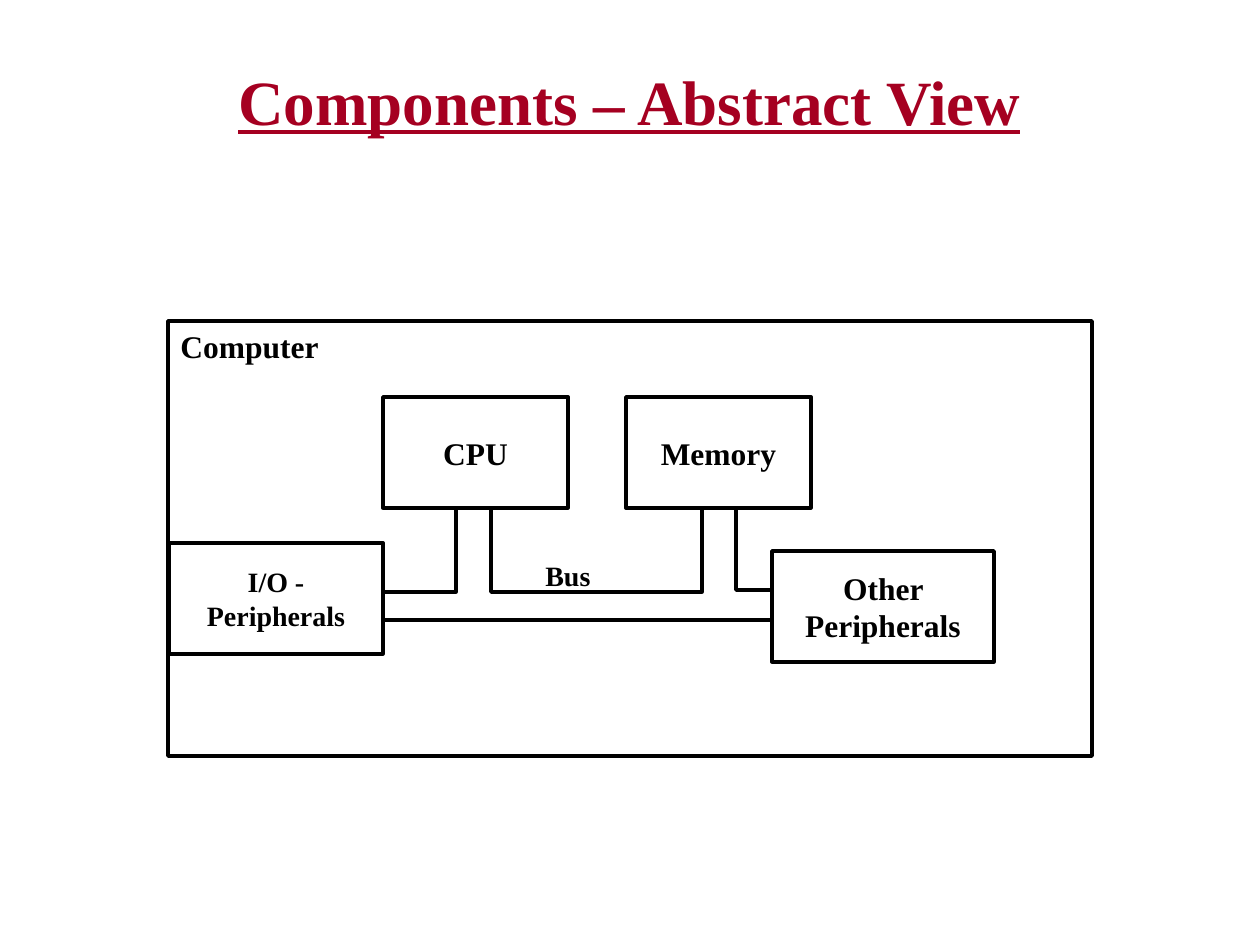
"""Build a slide with an abstract view of computer components."""
from pptx import Presentation
from pptx import util as u
from pptx.dml.color import RGBColor
from pptx.enum import text

RED = RGBColor(0xA5, 0x00, 0x21)
BLACK = RGBColor(0, 0, 0)
WHITE = RGBColor(255, 255, 255)
FONT = "Times New Roman"
CENTER, LEFT = text.PP_ALIGN.CENTER, text.PP_ALIGN.LEFT
MIDDLE, TOP = text.MSO_ANCHOR.MIDDLE, text.MSO_ANCHOR.TOP
BUS = [(335, 620), (915, 620), (915, 590), (736, 590), (736, 500), (702, 500),
       (702, 592), (491, 592), (491, 496), (456, 496), (456, 592), (335, 592)]
UNITS = [("CPU", 383, 397, 185, 18), ("Memory", 626, 397, 185, 18),
         ("I/O - Peripherals", 169, 543, 214, 16),
         ("Other Peripherals", 772, 551, 222, 18)]
UNIT_H = 111


def px(n):
    return u.Inches(n / 126)


def write(shape, words, size, color=BLACK, align=CENTER, anchor=MIDDLE, wrap=True):
    frame = shape.text_frame
    frame.text = words
    frame.word_wrap = wrap
    frame.vertical_anchor = anchor
    para = frame.paragraphs[0]
    para.alignment = align
    font = para.runs[0].font
    font.name, font.size, font.bold = FONT, u.Pt(size), True
    font.color.rgb = color
    return font


def paint(shape):
    shape.shadow.inherit = False
    shape.fill.solid()
    shape.fill.fore_color.rgb = WHITE
    shape.line.color.rgb = BLACK
    shape.line.width = u.Pt(2)


def add_box(group, words, x, y, w, h, size, **style):
    box = group.shapes.add_shape(1, px(x), px(y), px(w), px(h))
    paint(box)
    write(box, words, size, **style)


def add_bus(group):
    points = [(px(x), px(y)) for x, y in BUS]
    form = group.shapes.build_freeform(*points[0])
    form.add_line_segments(points[1:], close=True)
    paint(form.convert_to_shape())


def add_label(group, words, x, y, w, h, size):
    label = group.shapes.add_textbox(px(x), px(y), px(w), px(h))
    write(label, words, size, align=LEFT, anchor=TOP, wrap=False)
    label.text_frame.auto_size = text.MSO_AUTO_SIZE.SHAPE_TO_FIT_TEXT


def add_title(slide, words):
    title = slide.shapes.title
    title.left, title.top, title.width, title.height = map(px, (94, 21, 1071, 158))
    write(title, words, 36, RED).underline = True


def main():
    deck = Presentation()
    deck.slide_width, deck.slide_height = px(1260), px(945)
    slide = deck.slides.add_slide(deck.slide_layouts[5])
    add_title(slide, "Components – Abstract View")
    group = slide.shapes.add_group_shape()
    add_box(group, "Computer", 168, 321, 924, 435, 18, align=LEFT, anchor=TOP)
    add_bus(group)
    for words, x, y, w, size in UNITS:
        add_box(group, words, x, y, w, UNIT_H, size)
    add_label(group, "Bus", 533, 552, 71, 47, 16)
    deck.save("out.pptx")


if __name__ == "__main__":
    main()
